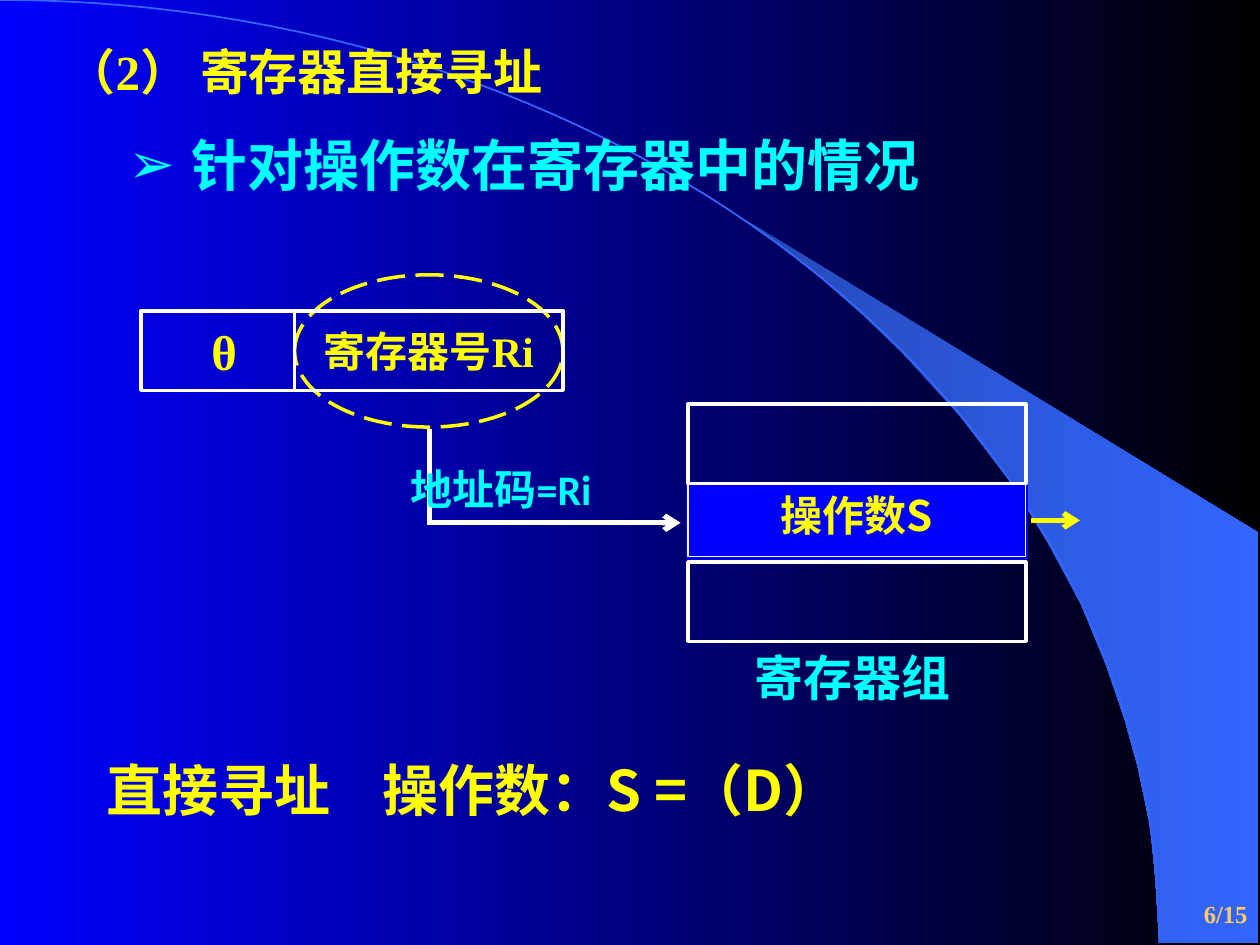
from math import cos, pi, sin

from lxml import etree
from pptx import Presentation
from pptx.dml.color import RGBColor
from pptx.enum.dml import MSO_LINE
from pptx.enum.shapes import MSO_CONNECTOR, MSO_SHAPE
from pptx.enum.text import MSO_ANCHOR, MSO_AUTO_SIZE, PP_ALIGN
from pptx.oxml.ns import qn
from pptx.util import Cm, Pt

BLUE = RGBColor(0x00, 0x00, 0xFF)
BLACK = RGBColor(0x00, 0x00, 0x00)
SKY = RGBColor(0x33, 0x66, 0xFF)
DEEP_SKY = RGBColor(0x24, 0x49, 0xB6)
WHITE = RGBColor(0xFF, 0xFF, 0xFF)
YELLOW = RGBColor(0xFF, 0xFF, 0x00)
CYAN = RGBColor(0x00, 0xFF, 0xFF)
GOLD = RGBColor(0xFF, 0xCC, 0x66)

CJK = "Noto Sans CJK SC"
SERIF = "Times New Roman"
SANS = "Calibri"

LEFT, CENTER, RIGHT = PP_ALIGN.LEFT, PP_ALIGN.CENTER, PP_ALIGN.RIGHT
TOP, MIDDLE = MSO_ANCHOR.TOP, MSO_ANCHOR.MIDDLE
RECTANGLE, OVAL = MSO_SHAPE.RECTANGLE, MSO_SHAPE.OVAL
STRAIGHT = MSO_CONNECTOR.STRAIGHT
LONG_DASH = MSO_LINE.LONG_DASH
NO_AUTOFIT = MSO_AUTO_SIZE.NONE


def write(shape, text, font, size, color, align=LEFT, anchor=TOP, wrap=True):
    """Put one bold run in the shape and return its paragraph."""
    frame = shape.text_frame
    frame.auto_size = NO_AUTOFIT
    frame.word_wrap = wrap
    frame.vertical_anchor = anchor
    paragraph = frame.paragraphs[0]
    paragraph.alignment = align
    paragraph.space_before = Pt(0)
    run = paragraph.add_run()
    run.text = text
    run.font.name = font
    run.font.size = Pt(size)
    run.font.bold = True
    run.font.color.rgb = color
    etree.SubElement(run.font._element, qn("a:ea"), typeface=CJK)
    return paragraph


def outlined(kind, box, color, width=2):
    """Add an unfilled preset shape with a coloured outline."""
    shape = slide.shapes.add_shape(kind, *map(Cm, box))
    shape.shadow.inherit = False
    shape.fill.background()
    shape.line.color.rgb = color
    shape.line.width = Pt(width)
    return shape


prs = Presentation()
prs.slide_width, prs.slide_height = Cm(25.4), Cm(19.05)
slide = prs.slides.add_slide(prs.slide_layouts[1])
shapes = slide.shapes
title, situation = slide.placeholders

# Backdrop: gradient, bright wedge and a quarter-ellipse arc
wedge_points = [
    (23.37, 19), (25.37, 19.02), (25.37, 10.74), (14.96, 4.39), (15.85, 5.05),
    (16.59, 5.64), (17.4, 6.35), (18.19, 7.11), (19.35, 8.38), (20.4, 9.75),
    (21.13, 10.95), (21.79, 12.17), (22.3, 13.41), (22.68, 14.53),
    (22.94, 15.47), (23.19, 16.66), (23.29, 17.68),
]
ARC_WIDTH, ARC_HEIGHT, ARC_STEPS = 23.37, 19.02, 60
angles = [pi / 2 * step / ARC_STEPS for step in range(ARC_STEPS + 1)]
arc_points = [(ARC_WIDTH * sin(a), ARC_HEIGHT * (1 - cos(a))) for a in angles]

curves = []
for points, closed in ((wedge_points, True), (arc_points, False)):
    start, *rest = [(Cm(x), Cm(y)) for x, y in points]
    builder = shapes.build_freeform(*start)
    builder.add_line_segments(rest, close=closed)
    curve = builder.convert_to_shape()
    curve.shadow.inherit = False
    curves.append(curve)
wedge, arc = curves
wedge.line.fill.background()
arc.fill.background()
arc.line.color.rgb = SKY
arc.line.width = Pt(1)

for fill, colors in (
    (slide.background.fill, (BLUE, BLACK)),
    (wedge.fill, (DEEP_SKY, SKY)),
):
    fill.gradient()
    fill.gradient_angle = 0
    for stop, color in zip(fill.gradient_stops, colors):
        stop.color.rgb = color

# Placeholders, brought in front of the backdrop
for placeholder, box in (
    (title, (1.09, 0.71, 19.81, 1.45)),
    (situation, (2.34, 2.51, 18.75, 1.65)),
):
    placeholder.left, placeholder.top, placeholder.width, placeholder.height = map(Cm, box)
    shapes._spTree.append(placeholder._element)
write(title, "（2） 寄存器直接寻址", SERIF, 28, YELLOW)
bullet = write(situation, "针对操作数在寄存器中的情况", CJK, 32, CYAN)
bullet_properties = bullet._p.get_or_add_pPr()
bullet_properties.set("marL", str(Cm(1.27)))
bullet_properties.set("indent", str(Cm(-1.27)))
etree.SubElement(bullet_properties, qn("a:buChar"), char="➢")

# Register group
GROUP_LEFT, GROUP_WIDTH = 13.87, 6.81
operand_cell = outlined(RECTANGLE, (GROUP_LEFT, 9.75, GROUP_WIDTH, 1.5), BLUE)
operand_cell.fill.solid()
operand_cell.fill.fore_color.rgb = BLUE
for top in (8.15, 11.33):
    outlined(RECTANGLE, (GROUP_LEFT, top, GROUP_WIDTH, 1.6), WHITE)
operand = outlined(RECTANGLE, (GROUP_LEFT, 9.75, GROUP_WIDTH, 1.47), WHITE, 0.75)
write(operand, "操作数S", CJK, 24, YELLOW, CENTER, wrap=False)

# Address path
highlight = outlined(OVAL, (5.94, 5.54, 5.41, 3.07), YELLOW)
highlight.line.dash_style = LONG_DASH
for x1, y1, x2, y2, color, has_arrow in (
    (8.66, 8.64, 8.66, 10.52, WHITE, False),
    (8.61, 10.54, 13.72, 10.54, WHITE, True),
    (20.78, 10.49, 21.77, 10.49, YELLOW, True),
):
    link = shapes.add_connector(STRAIGHT, Cm(x1), Cm(y1), Cm(x2), Cm(y2))
    link.line.color.rgb = color
    link.line.width = Pt(3)
    if has_arrow:
        etree.SubElement(link.line._get_or_add_ln(), qn("a:tailEnd"), type="arrow")
    etree.SubElement(link._element.spPr, qn("a:effectLst"))

# Instruction word
register_field = outlined(RECTANGLE, (5.94, 6.27, 5.41, 1.6), WHITE)
write(register_field, "寄存器号Ri", SERIF, 24, YELLOW, CENTER, MIDDLE)
outlined(RECTANGLE, (2.84, 6.27, 3.1, 1.6), WHITE)

# Labels, formula and page number
labels = [
    ("寄存器组", (14.96, 12.93, 5.23, 1.45), SANS, 28, CYAN, LEFT, TOP),
    ("地址码=Ri", (8.03, 9.22, 5.82, 1.3), SANS, 24, CYAN, LEFT, TOP),
    ("θ", (4.01, 6.35, 1.93, 1.45), SERIF, 28, YELLOW, LEFT, TOP),
    ("直接寻址\t操作数：S =（D）", (1.9, 15.11, 20.7, 1.6), CJK, 32, YELLOW, LEFT, TOP),
    ("6/15", (20.12, 17.78, 5.28, 1.27), SERIF, 14, GOLD, RIGHT, MIDDLE),
]
for text, box, *style in labels:
    paragraph = write(shapes.add_textbox(*map(Cm, box)), text, *style)
    if "\t" in text:
        tabs = etree.SubElement(paragraph._p.get_or_add_pPr(), qn("a:tabLst"))
        etree.SubElement(tabs, qn("a:tab"), pos=str(Cm(5.56)), algn="l")

prs.save("out.pptx")
